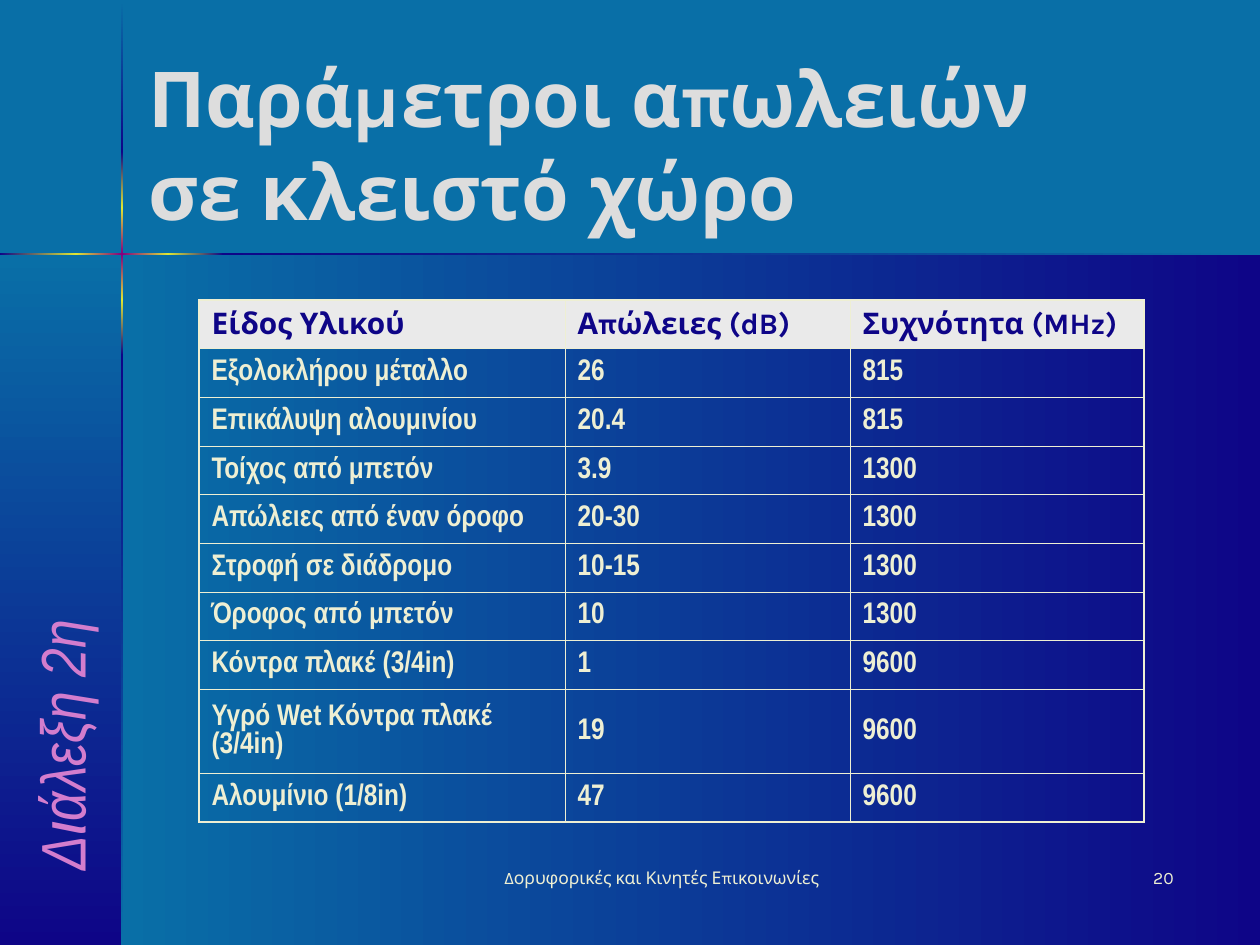
from copy import deepcopy
from dataclasses import dataclass
from itertools import pairwise

from lxml import etree
from pptx import Presentation, util as u
from pptx.dml.color import RGBColor
from pptx.enum import shapes, text
from pptx.oxml.ns import qn


@dataclass(frozen=True)
class Theme:
    teal: str = "096FA7"
    navy: str = "0E0587"
    yellow: str = "DEE634"
    purple: str = "800080"
    cream: str = "EEEFD3"
    header: str = "EAEAEA"
    pink: str = "D37DCD"
    silver: str = "DDDDDD"
    sans: str = "Karla"
    narrow: str = "Arial Narrow"
    title_size: int = 44
    lecture_size: int = 36
    table_size: int = 17
    footer_size: int = 10
    outer_line: float = 1.08
    inner_line: float = 0.45


T = Theme()
RIGHTWARD, DOWNWARD = 0, 270
WIDTH, HEIGHT = 1260, 945
SPINE, HORIZON = 122, 255  # where the side panel ends and the lower panels begin

LOSSES = [
    ("Είδος Υλικού", "Απώλειες (dB)", "Συχνότητα (MHz)"),
    ("Εξολοκλήρου μέταλλο", "26", "815"),
    ("Επικάλυψη αλουμινίου", "20.4", "815"),
    ("Τοίχος από μπετόν", "3.9", "1300"),
    ("Απώλειες από έναν όροφο", "20-30", "1300"),
    ("Στροφή σε διάδρομο", "10-15", "1300"),
    ("Όροφος από μπετόν", "10", "1300"),
    ("Κόντρα πλακέ (3/4in)", "1", "9600"),
    ("Υγρό Wet Κόντρα πλακέ (3/4in)", "19", "9600"),
    ("Αλουμίνιο (1/8in)", "47", "9600"),
]
TALL_ROW = 8


def px(n):
    return u.Emu(round(n * 914400 / 126))


def box(*lengths):
    return [px(n) for n in lengths]


def write(frame, words, color, align=text.PP_ALIGN.LEFT, **font_format):
    frame.word_wrap = True
    paragraph = frame.paragraphs[0]
    paragraph.alignment = align
    run = paragraph.add_run()
    run.text = words
    for key, value in font_format.items():
        setattr(run.font, key, value)
    run.font.color.rgb = RGBColor.from_string(color)


def add_label(slide, place, words, color, anchor=text.MSO_ANCHOR.TOP, turn=0, **style):
    label = slide.shapes.add_textbox(*box(*place))
    label.rotation = turn
    label.text_frame.vertical_anchor = anchor
    write(label.text_frame, words, color, **style)


def add_band(slide, place, colors, angle):
    band = slide.shapes.add_shape(shapes.MSO_SHAPE.RECTANGLE, *box(*place))
    band.shadow.inherit = False
    band.line.fill.background()
    band.fill.gradient()
    band.fill.gradient_angle = angle
    stops = band.fill.gradient_stops
    if len(colors) == 3:
        stop_list = band.fill._fill._gradFill.gsLst
        stop_list.insert(1, deepcopy(stop_list[0]))
        stops = band.fill.gradient_stops
    for i, (stop, color) in enumerate(zip(stops, colors)):
        stop.position = i / (len(colors) - 1)
        stop.color.rgb = RGBColor.from_string(color)


def add_backdrop(slide):
    # Two lower panels
    depth = HEIGHT - HORIZON
    panel = (T.teal, T.navy)
    add_band(slide, (SPINE, HORIZON, WIDTH - SPINE, depth), panel, RIGHTWARD)
    add_band(slide, (0, HORIZON, SPINE, depth), panel, DOWNWARD)

    # Crossing lines, each a chain of gradients that glows at the crossing
    glow = [(T.navy, T.yellow), (T.yellow, T.purple, T.yellow),
            (T.yellow, T.navy), (T.navy, T.teal)]
    for (left, right), colors in zip(pairwise((0, 76, 168, 223, WIDTH)), glow):
        add_band(slide, (left, HORIZON - 2, right - left, 2), colors, RIGHTWARD)
    upright = pairwise((1, 152, 208, 300, 355, HEIGHT))
    for (top, bottom), colors in zip(upright, [panel] + glow):
        add_band(slide, (SPINE - 1, top, 2, bottom - top), colors, DOWNWARD)


def set_borders(cell, outer_sides):
    props = cell._tc.get_or_add_tcPr()
    for side in "LRTB":
        points = T.outer_line if side in outer_sides else T.inner_line
        line = etree.SubElement(props, qn(f"a:ln{side}"), w=str(u.Pt(points)))
        fill = etree.SubElement(line, qn("a:solidFill"))
        etree.SubElement(fill, qn("a:srgbClr"), val=T.cream)


def add_loss_table(slide):
    widths = (366, 285, 294)
    plain_rows, tall_height = 438, 84
    frame = slide.shapes.add_table(
        len(LOSSES), len(widths),
        *box(199, 300, sum(widths), plain_rows + tall_height))
    table = frame.table
    table.first_row = table.horz_banding = False
    for column, width in zip(table.columns, widths):
        column.width = px(width)

    for r, values in enumerate(LOSSES):
        row_height = tall_height if r == TALL_ROW else plain_rows / (len(LOSSES) - 1)
        table.rows[r].height = px(row_height)
        for c, value in enumerate(values):
            cell = table.cell(r, c)
            cell.vertical_anchor = text.MSO_ANCHOR.MIDDLE
            edges = {"L": c == 0, "R": c == len(widths) - 1,
                     "T": r == 0, "B": r == len(LOSSES) - 1}
            set_borders(cell, [side for side, outer in edges.items() if outer])
            if r == 0:
                cell.fill.solid()
                cell.fill.fore_color.rgb = RGBColor.from_string(T.header)
            else:
                cell.fill.background()
            color, face = (T.cream, T.narrow) if r else (T.navy, T.sans)
            write(cell.text_frame, value, color, name=face,
                  size=u.Pt(T.table_size), bold=True)


def main():
    deck = Presentation()
    deck.slide_width, deck.slide_height = px(WIDTH), px(HEIGHT)
    slide = deck.slides.add_slide(deck.slide_layouts[6])
    slide.background.fill.solid()
    slide.background.fill.fore_color.rgb = RGBColor.from_string(T.teal)
    add_backdrop(slide)

    # Footer and slide number
    footer = {"color": T.cream, "name": T.sans, "size": u.Pt(T.footer_size)}
    add_label(slide, (462, 861, 399, 63), "Δορυφορικές και Κινητές Επικοινωνίες",
              align=text.PP_ALIGN.CENTER, **footer)
    add_label(slide, (924, 861, 262, 63), "20", align=text.PP_ALIGN.RIGHT, **footer)

    add_loss_table(slide)

    # Lecture name up the side, then the title
    add_label(slide, (-179, 599, 483, 84), "Διάλεξη 2η", T.pink,
              anchor=text.MSO_ANCHOR.BOTTOM, turn=270,
              name=T.narrow, size=u.Pt(T.lecture_size), italic=True)
    add_label(slide, (136, 129, 977, 113), "Παράμετροι απωλειών σε κλειστό χώρο",
              T.silver, anchor=text.MSO_ANCHOR.BOTTOM,
              name=T.sans, size=u.Pt(T.title_size), bold=True)
    deck.save("out.pptx")


if __name__ == "__main__":
    main()
